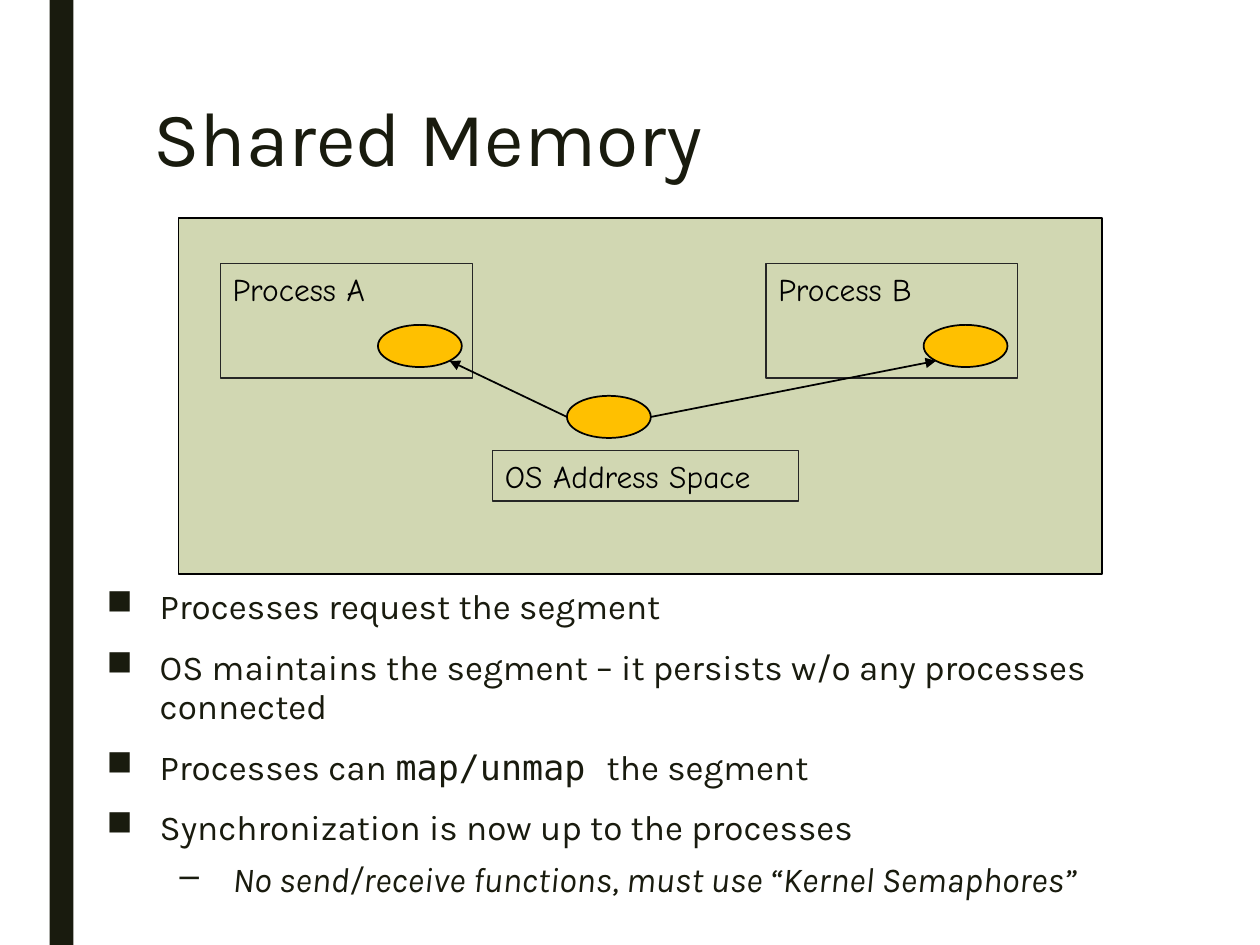
from math import sqrt
from lxml.etree import SubElement
from pptx import Presentation
from pptx.dml.color import RGBColor as RGB
from pptx.enum.shapes import MSO_CONNECTOR as LINE, MSO_SHAPE as SHAPE
from pptx.enum.text import MSO_ANCHOR as ANCHOR, PP_ALIGN as ALIGN
from pptx.oxml.ns import qn
from pptx.util import Cm, Pt

TITLE = "Shared Memory"
# (level, runs); each run is (text, style)
POINTS = [
    (0, [("Processes request the segment", "")]),
    (0, [("OS maintains the segment – it persists w/o any processes connected", "")]),
    (0, [("Processes can ", ""), ("map/unmap ", "code"), ("the segment", "")]),
    (0, [("Synchronization is now up to the processes", "")]),
    (1, [("No send/receive functions, must use “Kernel Semaphores”", "italic")]),
]
TASKS = [("Process A", 4.44), ("Process B", 15.44)]
SPACE = "OS Address Space"

THEME = {
    "ink": "191B0E", "black": "000000", "edge": "262626",
    "space": "D1D7B2", "segment": "FFC000",
    "sans": "Karla", "code": "DejaVu Sans Mono", "label": "Comic Neue",
    "title": 44, "body": 20, "note": 18,
}
# bullet, text indent in cm, space before in points
LEVELS = [("■", 1.07, 10), ("–", 2.54, 5)]
HANG = 1.07
TASK_Y, TASK_W, TASK_H = 5.31, 5.08, 2.31
SEG_W, SEG_H = 1.69, 0.85
SEG_DX, SEG_DY = 3.18, 1.24
HUB = (11.43, 7.98)


def color(name):
    return RGB.from_string(THEME[name])


def style(run, size, face, ink):
    run.font.size = Pt(THEME[size])
    run.font.name = THEME[face]
    run.font.color.rgb = color(ink)


def shape(slide, kind, box, fill=None, edge=None, width=1):
    item = slide.shapes.add_shape(kind, *map(Cm, box))
    item.shadow.inherit = False
    if fill:
        item.fill.solid()
        item.fill.fore_color.rgb = color(fill)
    else:
        item.fill.background()
    if edge:
        item.line.color.rgb = color(edge)
        item.line.width = Pt(width)
    else:
        item.line.fill.background()
    return item


def label(slide, box, text):
    item = shape(slide, SHAPE.RECTANGLE, box, edge="edge", width=0.75)
    frame = item.text_frame
    frame.text = text
    frame.vertical_anchor = ANCHOR.TOP
    para = frame.paragraphs[0]
    para.alignment = ALIGN.LEFT
    style(para.runs[0], "note", "label", "black")


def segment(slide, x, y):
    """Draw one memory segment and return its centre."""
    shape(slide, SHAPE.OVAL, (x, y, SEG_W, SEG_H), "segment", "black")
    return x + SEG_W / 2, y + SEG_H / 2


def arrow(slide, start, end):
    """Go from the side of one segment to the lower corner of another."""
    side = 1 if end[0] > start[0] else -1
    x1, y1 = start[0] + side * SEG_W / 2, start[1]
    x2 = end[0] - side * SEG_W / 2 / sqrt(2)
    y2 = end[1] + SEG_H / 2 / sqrt(2)
    item = slide.shapes.add_connector(LINE.STRAIGHT, *map(Cm, (x1, y1, x2, y2)))
    item.line.color.rgb = color("black")
    item.line.width = Pt(1)
    SubElement(item.line._get_or_add_ln(), qn("a:tailEnd"), type="triangle")
    SubElement(item._element.spPr, qn("a:effectLst"))


def textbox(slide, box):
    frame = slide.shapes.add_textbox(*map(Cm, box)).text_frame
    frame.word_wrap = True
    return frame


def bullets(frame):
    for i, (level, parts) in enumerate(POINTS):
        para = frame.paragraphs[0] if i == 0 else frame.add_paragraph()
        mark, indent, before = LEVELS[level]
        para.level = level
        para.line_spacing = 0.94
        para.space_before, para.space_after = Pt(before), Pt(2)
        props = para._p.get_or_add_pPr()
        props.set("marL", str(Cm(indent)))
        props.set("indent", str(-Cm(HANG)))
        SubElement(props, qn("a:buChar"), char=mark)
        for text, look in parts:
            run = para.add_run()
            run.text = text
            style(run, "body", "code" if look == "code" else "sans", "ink")
            run.font.italic = look == "italic"


def main():
    deck = Presentation()
    deck.slide_width, deck.slide_height = Cm(25.4), Cm(19.05)
    slide = deck.slides.add_slide(deck.slide_layouts[6])

    shape(slide, SHAPE.RECTANGLE, (1, 0, 0.48, 19.05), "ink")
    head = textbox(slide, (2.84, 1.9, 20.02, 4.12))
    head.text = TITLE
    head.paragraphs[0].line_spacing = 0.89
    style(head.paragraphs[0].runs[0], "title", "sans", "ink")
    bullets(textbox(slide, (1.9, 11.73, 22.43, 5.92)))

    shape(slide, SHAPE.RECTANGLE, (3.6, 4.39, 18.62, 7.19), "space", "black")
    label(slide, (9.93, 9.08, 6.17, 1.02), SPACE)
    hub = segment(slide, *HUB)
    for name, x in TASKS:
        label(slide, (x, TASK_Y, TASK_W, TASK_H), name)
        arrow(slide, hub, segment(slide, x + SEG_DX, TASK_Y + SEG_DY))

    deck.save("out.pptx")


if __name__ == "__main__":
    main()
